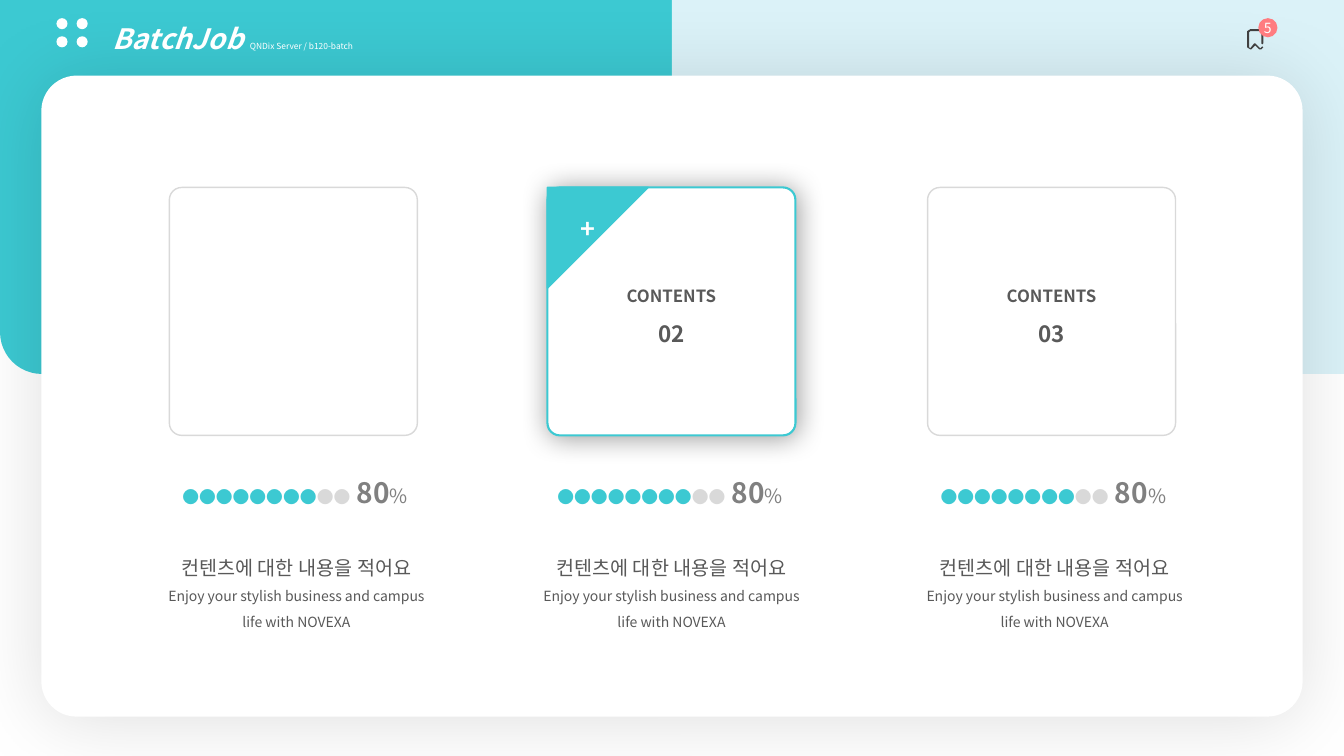
"""Builds the BatchJob contents slide with three progress cards."""
import math
from itertools import product

from lxml import etree
from pptx import Presentation
from pptx import util as u
from pptx.dml import color
from pptx.enum import shapes, text
from pptx.oxml import ns

FONT = "Noto Sans CJK KR"
COLORS = {"teal": "3CC9D2", "sky": "DBF2F8", "white": "FFFFFF", "coral": "FF7C80",
          "ink": "404040", "body": "595959", "grey": "808080", "pale": "D9D9D9", "black": "000000"}
KIND = shapes.MSO_SHAPE
CENTER = {"alignment": text.PP_ALIGN.CENTER}
SPACED = {"line_spacing": 1.5}
MIDDLE = {"vertical_anchor": text.MSO_ANCHOR.MIDDLE}
GROW = {"auto_size": text.MSO_AUTO_SIZE.SHAPE_TO_FIT_TEXT}
BOOKMARK = [(3, 20), (0, 18), (0, 2), (3, 0), (13, 0), (16, 3), (16, 14), (15, 15), (14, 14),
            (14, 3), (12, 2), (3, 2), (2, 3), (2, 18), (3, 19), (7, 14), (8, 14), (13, 19),
            (14, 18), (15, 17), (16, 18), (14, 20), (12, 20), (8, 16), (4, 20)]


def rgb(name):
    """Return the named colour."""
    return color.RGBColor.from_string(COLORS[name])


def apply(target, values):
    """Set each value as an attribute of the target."""
    for name, value in values.items():
        setattr(target, name, value)


def paint(shape, fill, line=None, width=1):
    """Give a shape a flat fill and an optional outline."""
    shape.shadow.inherit = False
    shape.fill.solid()
    shape.fill.fore_color.rgb = rgb(fill)
    if line:
        shape.line.color.rgb = rgb(line)
        shape.line.width = u.Pt(width)
    else:
        shape.line.fill.background()
    return shape


def draw(parent, kind, box, fill, line=None, width=1, corner=None):
    """Add a painted preset shape in a box of inches."""
    shape = parent.add_shape(kind, *map(u.Inches, box))
    if corner is not None:
        shape.adjustments[0] = corner
    return paint(shape, fill, line, width)


def outline(parent, points, left, top, fill, scale=1.0, line=None):
    """Add a closed polygon whose points are relative to left and top."""
    builder = parent.build_freeform(*points[0], scale=float(u.Inches(scale)))
    builder.add_line_segments(points[1:], close=True)
    return paint(builder.convert_to_shape(u.Inches(left), u.Inches(top)), fill, line)


def cast_shadow(shape, opacity, blur, distance, angle):
    """Add an outer shadow measured in percent, points and degrees."""
    effects = shape._element.spPr.find(ns.qn("a:effectLst"))
    shadow = etree.SubElement(effects, ns.qn("a:outerShdw"), blurRad=str(u.Pt(blur)),
                              dist=str(u.Pt(distance)), dir=str(angle * 60000),
                              algn="ctr", rotWithShape="0")
    tint = etree.SubElement(shadow, ns.qn("a:srgbClr"), val=COLORS["black"])
    etree.SubElement(tint, ns.qn("a:alpha"), val=str(opacity * 1000))


def write(shape, paragraphs, frame_format, para_format):
    """Fill a shape with paragraphs of (words, size, colour, font format) spans."""
    frame = shape.text_frame
    apply(frame, {"word_wrap": True, **frame_format})
    for index, spans in enumerate(paragraphs):
        para = frame.add_paragraph() if index else frame.paragraphs[0]
        apply(para, para_format)
        for words, size, tint, font_format in spans:
            span = para.add_run()
            span.text = words
            apply(span.font, {"name": FONT, "size": u.Pt(size), "bold": False, **font_format})
            span.font.color.rgb = rgb(tint)


def add_backdrop(page, width, height):
    """Draw the two-colour banner and the white panel over it."""
    half = width / 2
    banner = draw(page.shapes, KIND.ROUND_1_RECTANGLE, (0, 0, half, height), "teal", corner=0.112)
    banner.rotation = 180
    draw(page.shapes, KIND.RECTANGLE, (half, 0, half, height), "sky")
    panel = draw(page.shapes, KIND.ROUNDED_RECTANGLE, (0.41, 0.75, 12.51, 6.36), "white",
                 corner=0.055)
    cast_shadow(panel, 12, 57, 3, 90)


def add_header(page, left, top):
    """Place the menu dots and the title."""
    menu = page.shapes.add_group_shape().shapes
    for row, column in product(range(2), repeat=2):
        draw(menu, KIND.OVAL, (left + 0.2 * column, top + 0.18 * row, 0.11, 0.11), "white")
    title = page.shapes.add_textbox(*map(u.Inches, (left + 0.46, 0, 5.7, 0.61)))
    write(title, [[("BatchJob ", 20, "white", {"bold": True, "italic": True}),
                   ("QNDix Server / b120-batch", 6, "white", {})]], GROW, SPACED)


def add_bookmark(page, left, top):
    """Place the bookmark icon with its count badge."""
    group = page.shapes.add_group_shape().shapes
    outline(group, BOOKMARK, left, top, "ink", scale=0.01)
    badge = draw(group, KIND.OVAL, (left + 0.11, top - 0.11, 0.19, 0.19), "coral")
    margins = dict.fromkeys(("margin_left", "margin_top", "margin_right", "margin_bottom"),
                            u.Inches(0.04))
    write(badge, [[("5", 10, "white", {})]], {**MIDDLE, **margins, "word_wrap": False}, CENTER)


def add_corner(page, left, top, side, radius):
    """Place the plus flag in the rounded corner of a card."""
    angles = [math.radians(180 + 15 * step) for step in range(7)]
    arc = [(radius + radius * math.cos(angle), radius + radius * math.sin(angle))
           for angle in angles]
    flag = outline(page.shapes, [(side, 0), (0, side), *arc], left, top, "teal", line="teal")
    margins = {"margin_left": 0, "margin_top": u.Inches(0.05),
               "margin_right": u.Inches(0.2), "margin_bottom": u.Inches(0.24)}
    write(flag, [[("+", 18, "white", {"bold": True})]], {**MIDDLE, **margins}, CENTER)


def add_card(page, left, top, side, number, active):
    """Draw one card, raised and flagged when it is active."""
    line, width = ("teal", 1.5) if active else ("pale", 1)
    card = draw(page.shapes, KIND.ROUNDED_RECTANGLE, (left, top, side, side), "white",
                line, width, 0.05)
    if number:
        bold = {"bold": True}
        write(card, [[("CONTENTS", 12, "body", bold)], [(number, 16, "body", bold)]],
              MIDDLE, {**CENTER, **SPACED})
    if active:
        cast_shadow(card, 40, 20, 1, 45)
        add_corner(page, left, top, 0.61, 0.17)


def add_progress(page, left, top, percent):
    """Place the dotted gauge and the caption under a card."""
    bold = {"bold": True}
    filled = percent // 10
    gauge = page.shapes.add_textbox(*map(u.Inches, (left + 0.25, top, 2.52, 0.44)))
    write(gauge, [[("●" * filled, 12, "teal", bold), ("●" * (10 - filled), 12, "pale", bold),
                   (f" {percent}", 20, "grey", bold), ("%", 14, "grey", {})]],
          {**GROW, "word_wrap": False}, {})
    caption = page.shapes.add_textbox(*map(u.Inches, (left, top + 0.68, 2.96, 0.96)))
    write(caption, [[("컨텐츠에 대한 내용을 적어요", 14, "body", {})],
                    [("Enjoy your stylish business and campus life with NOVEXA", 10, "body", {})]],
          GROW, {**CENTER, **SPACED})


def main():
    """Build and save the deck."""
    deck = Presentation()
    apply(deck, {"slide_width": u.Inches(13.33), "slide_height": u.Inches(7.5)})
    page = deck.slides.add_slide(deck.slide_layouts[6])
    add_backdrop(page, 13.33, 3.71)
    add_header(page, 0.56, 0.18)
    add_bookmark(page, 12.37, 0.29)
    columns = [(1.68, 1.46, ""), (5.43, 5.18, "02"), (9.2, 8.98, "03")]
    for card_left, text_left, number in columns:
        add_card(page, card_left, 1.86, 2.46, number, number == "02")
        add_progress(page, text_left, 4.67, 80)
    deck.save("out.pptx")


main()
